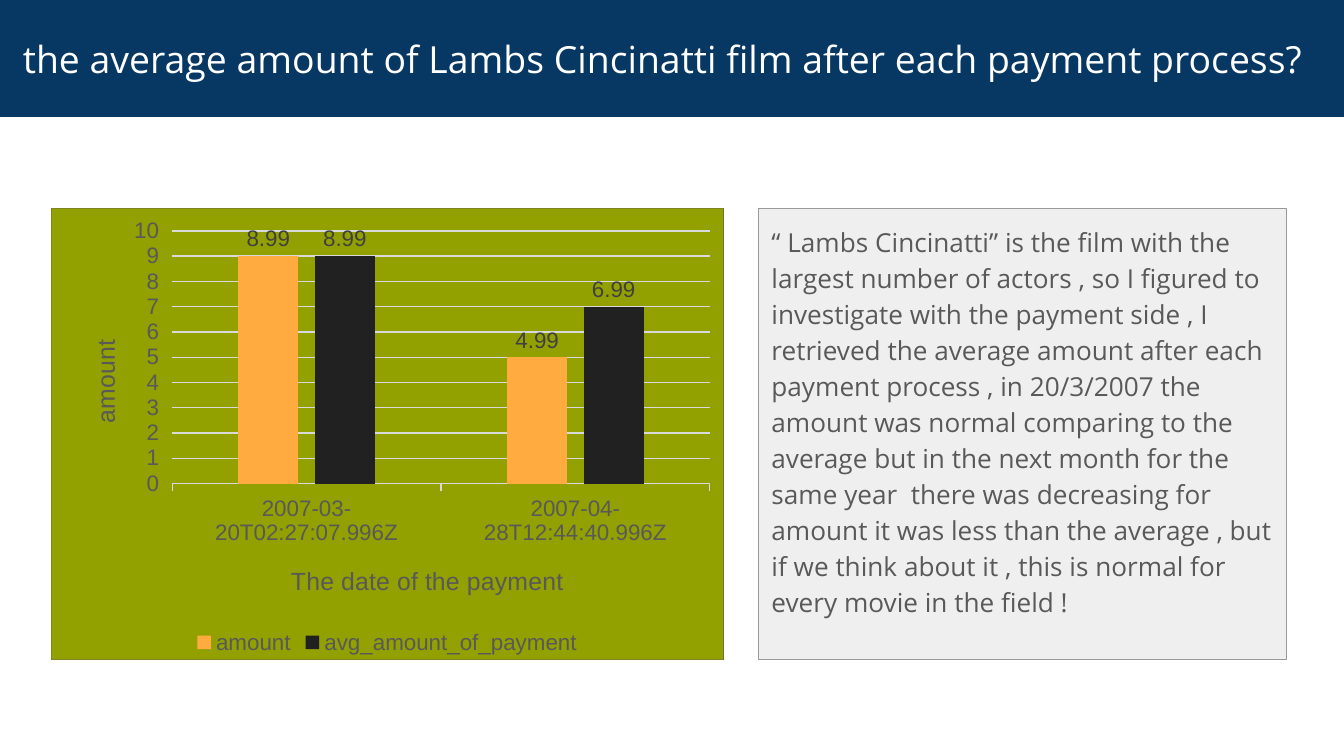
from lxml import etree
from pptx import Presentation
from pptx.chart.data import CategoryChartData
from pptx.dml.color import RGBColor
from pptx.enum.chart import (
    XL_CHART_TYPE as ChartType,
    XL_LABEL_POSITION as LabelPosition,
    XL_LEGEND_POSITION as LegendPosition,
    XL_TICK_MARK as TickMark,
)
from pptx.enum.shapes import MSO_SHAPE as Shape
from pptx.enum.text import MSO_ANCHOR as Anchor, PP_ALIGN as Align
from pptx.oxml import parse_xml
from pptx.oxml.ns import qn
from pptx.util import Cm, Pt

CHART_NS = "http://schemas.openxmlformats.org/drawingml/2006/chart"
DRAW_NS = "http://schemas.openxmlformats.org/drawingml/2006/main"
GREY = "595959"


def color(value):
    return RGBColor.from_string(value)


def style_font(font, size, value, name="Arial"):
    font.size = Pt(size)
    font.name = name
    font.bold = False
    font.color.rgb = color(value)


def add_panel(page, box, fill, line=None):
    panel = page.shapes.add_shape(Shape.RECTANGLE, *map(Cm, box))
    panel.shadow.inherit = False
    panel.fill.solid()
    panel.fill.fore_color.rgb = color(fill)
    if line:
        panel.line.color.rgb = color(line)
        panel.line.width = Pt(0.75)
    else:
        panel.line.fill.background()
    return panel


def write_text(panel, text, size, value, anchor):
    frame = panel.text_frame
    frame.word_wrap = True
    frame.vertical_anchor = anchor
    frame.margin_left = frame.margin_right = Cm(0.25)
    frame.margin_top = frame.margin_bottom = Cm(0.25)
    para = frame.paragraphs[0]
    para.alignment = Align.LEFT
    span = para.add_run()
    span.text = text
    style_font(span.font, size, value, "Open Sans")
    return para


def add_title(page, box, text):
    write_text(add_panel(page, box, "073763"), text, 20, "FFFFFF", Anchor.MIDDLE)


def add_comment(page, box, text):
    panel = add_panel(page, box, "EFEFEF", "999999")
    para = write_text(panel, text, 14, GREY, Anchor.TOP)
    para.line_spacing = 1.15
    para.space_after = Pt(16)


def set_layout(parent, index, **places):
    layout = parent.find(qn("c:layout"))
    if layout is None:
        layout = etree.Element(qn("c:layout"))
        parent.insert(index, layout)
    manual = etree.SubElement(layout, qn("c:manualLayout"))
    settings = {"xMode": "edge", "yMode": "edge", **places}
    if "w" in places:
        settings = {"layoutTarget": "inner", **settings}
    for name, value in settings.items():
        etree.SubElement(manual, qn(f"c:{name}")).set("val", str(value))


def fill_chart(chart, fill):
    chart.element.chart.addnext(parse_xml(
        f'<c:spPr xmlns:c="{CHART_NS}" xmlns:a="{DRAW_NS}">'
        f'<a:solidFill><a:srgbClr val="{fill}"/></a:solidFill>'
        "<a:ln><a:noFill/></a:ln></c:spPr>"
    ))


def style_axis(axis, title, x, y):
    axis.major_tick_mark = TickMark.OUTSIDE
    axis.minor_tick_mark = TickMark.NONE
    style_font(axis.tick_labels.font, 12, GREY)
    span = axis.axis_title.text_frame.paragraphs[0].add_run()
    span.text = title
    style_font(span.font, 13.3, GREY)
    set_layout(axis.axis_title.element, 1, x=x, y=y)


def style_line(line):
    line.color.rgb = color("D9D9D9")
    line.width = Pt(0.75)


def add_payment_chart(page, box, categories, series):
    add_panel(page, box, "EEEEEE", GREY)
    data = CategoryChartData(number_format="General")
    data.categories = categories
    for name, values, _ in series:
        data.add_series(name, values)
    chart = page.shapes.add_chart(
        ChartType.COLUMN_CLUSTERED, *map(Cm, box), data
    ).chart
    chart.has_title = False
    style_font(chart.font, 10, "000000")
    fill_chart(chart, "92A000")
    set_layout(chart.element.chart.plotArea, 0, x=0.18, y=0.05, w=0.8, h=0.56)

    style_axis(chart.category_axis, "The date of the payment", 0.35, 0.78)
    style_line(chart.category_axis.format.line)
    value_axis = chart.value_axis
    style_axis(value_axis, "amount", 0.05, 0.28)
    value_axis.minimum_scale, value_axis.maximum_scale = 0, 10
    value_axis.major_unit = 1
    value_axis.format.line.fill.background()
    style_line(value_axis.major_gridlines.format.line)

    chart.has_legend = True
    chart.legend.position = LegendPosition.BOTTOM
    chart.legend.include_in_layout = False
    style_font(chart.legend.font, 12, GREY)

    plot = chart.plots[0]
    plot.gap_width = 219
    plot.overlap = -27
    plot.vary_by_categories = False
    for bars, (_, _, fill) in zip(plot.series, series):
        bars.format.fill.solid()
        bars.format.fill.fore_color.rgb = color(fill)
        labels = bars.data_labels
        labels.show_value = True
        labels.position = LabelPosition.OUTSIDE_END
        style_font(labels.font, 12, "404040")


def main():
    deck = Presentation()
    deck.slide_width, deck.slide_height = Cm(25.4), Cm(14.29)
    page = deck.slides.add_slide(deck.slide_layouts[6])
    top, height = 3.94, 8.53
    add_comment(
        page, (14.33, top, 9.98, height),
        "“ Lambs Cincinatti” is the film with the largest number of actors , "
        "so I figured to investigate with the payment side , I retrieved the "
        "average amount after each payment process , in 20/3/2007 the amount "
        "was normal comparing to the average but in the next month for the "
        "same year  there was decreasing for amount it was less than the "
        "average , but if we think about it , this is normal for every movie "
        "in the field !",
    )
    add_title(
        page, (0, 0, 25.4, 2.21),
        " the average amount of Lambs Cincinatti film after each payment process?",
    )
    add_payment_chart(
        page, (0.97, top, 12.7, height),
        ("2007-03-20T02:27:07.996Z", "2007-04-28T12:44:40.996Z"),
        (
            ("amount", (8.99, 4.99), "FFAB40"),
            ("avg_amount_of_payment", (8.99, 6.99), "212121"),
        ),
    )
    deck.save("out.pptx")


if __name__ == "__main__":
    main()
